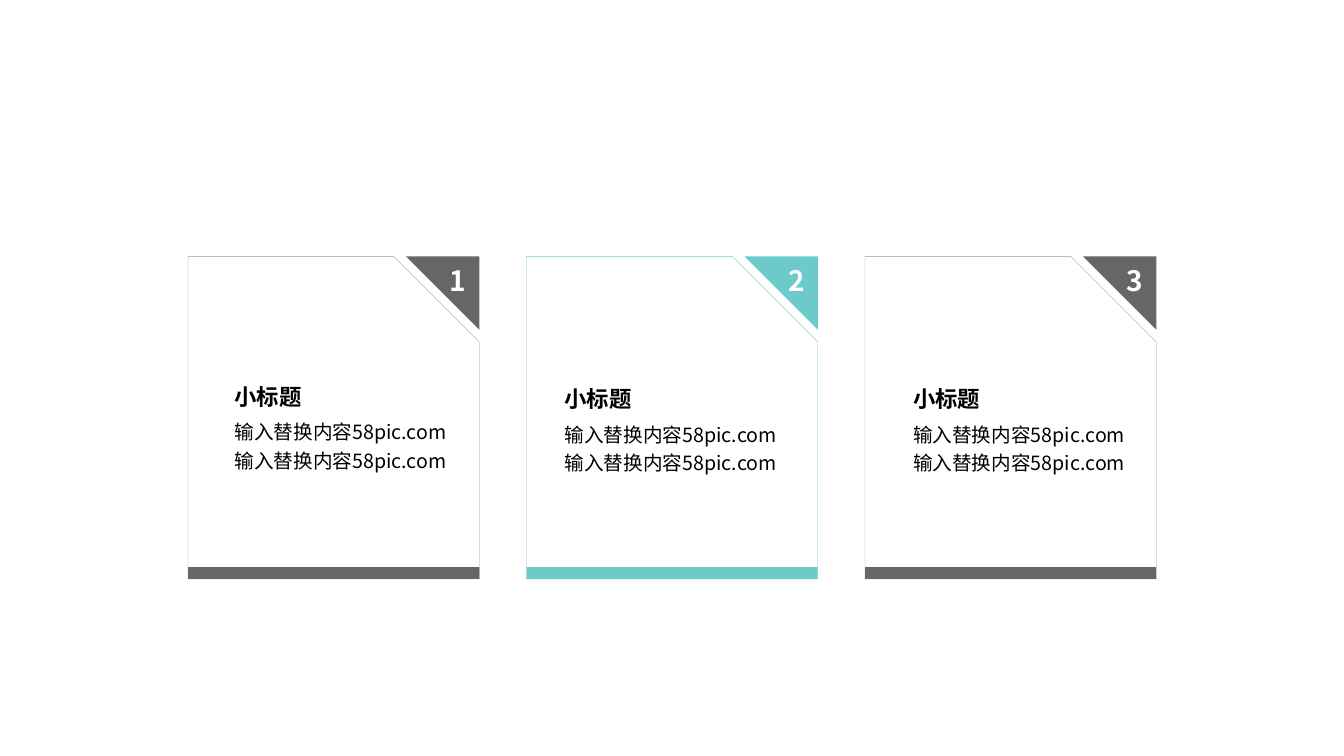
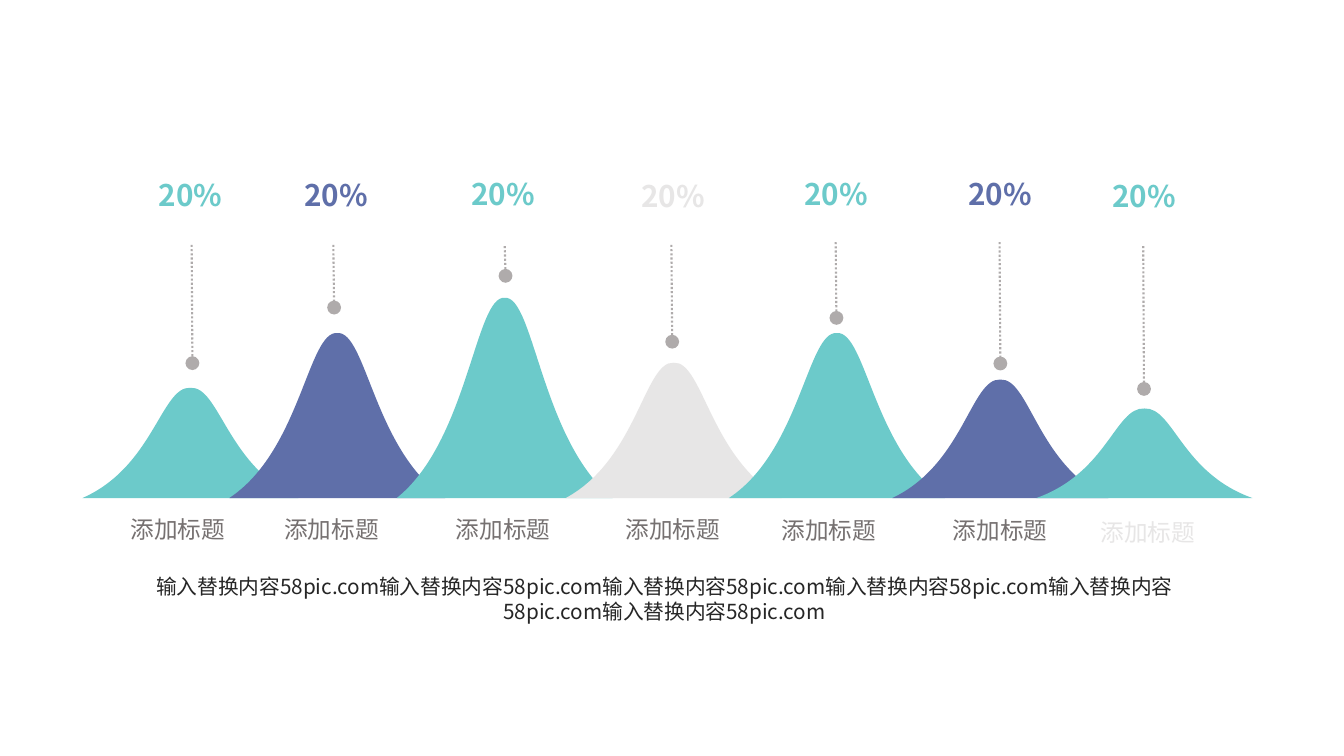
from lxml import etree
from pptx import Presentation
from pptx import util as u
from pptx.dml.color import RGBColor
from pptx.enum import dml, shapes, text
from pptx.oxml.ns import qn

# Shared look
FONT = "Noto Sans CJK SC"
TEAL = RGBColor(0x6C, 0xCA, 0xCA)
BLUE = RGBColor(0x5F, 0x6F, 0xA9)
PALE = RGBColor(0xE7, 0xE6, 0xE6)
DARK = RGBColor(0x66, 0x66, 0x66)
EDGE = RGBColor(0x99, 0x99, 0x99)
DOT = RGBColor(0xAF, 0xAB, 0xAB)
GREY = RGBColor(0x76, 0x71, 0x71)
INK = RGBColor(0x26, 0x26, 0x26)
BLACK = RGBColor(0, 0, 0)
WHITE = RGBColor(0xFF, 0xFF, 0xFF)
LEFT, MID, RIGHT = (text.PP_ALIGN.LEFT, text.PP_ALIGN.CENTER,
                    text.PP_ALIGN.RIGHT)

HEAD = dict(size=u.Pt(16), bold=True, color=BLACK)
BODY = dict(size=u.Pt(14), color=BLACK)
DIGIT = dict(size=u.Pt(20), bold=True, color=WHITE)
NOTE = dict(size=u.Pt(14.8), color=INK)
LABEL = dict(size=u.Pt(16.9))
SHARE = dict(size=u.Pt(21.2), bold=True)

# Slide 1: number, fill, edge, text left and text top (cm)
PHRASE = "输入替换内容58pic.com"
TITLE = "小标题"
CARDS = [
    ("1", DARK, EDGE, 5.66, 9.53),
    ("2", TEAL, TEAL, 13.98, 9.59),
    ("3", DARK, EDGE, 22.76, 9.59),
]
CARD_X, CARD_Y, CARD_W, CARD_H, STEP = 4.74, 6.46, 7.34, 8.13, 8.53
BAR, FOLD = 0.3, 1.85

# Slide 2: caption, share, then lengths in cm
BASE, HILL_W, SLANT = 12.55, 5.44, 0.02
HILLS = [
    # hill: colour, centre, top; caption: colour, centre, top;
    # share: centre, top; stem: x, start, end
    ((TEAL, 4.8, 9.73), (GREY, 4.48, 12.85), (4.8, 4.33), (4.83, 6.17, 9.15)),
    ((BLUE, 8.5, 8.33), (GREY, 8.36, 12.85), (8.47, 4.33), (8.4, 6.17, 7.75)),
    ((TEAL, 12.72, 7.43), (GREY, 12.68, 12.85), (12.68, 4.31),
     (12.72, 6.2, 6.95)),
    ((PALE, 16.98, 9.09), (GREY, 16.96, 12.85), (16.97, 4.36),
     (16.92, 6.17, 8.61)),
    ((TEAL, 21.09, 8.33), (GREY, 20.89, 12.88), (21.07, 4.31),
     (21.06, 6.1, 8.01)),
    ((BLUE, 25.21, 9.52), (GREY, 25.21, 12.88), (25.21, 4.31),
     (25.19, 6.1, 9.16)),
    ((TEAL, 28.84, 10.26), (PALE, 28.93, 12.93), (28.83, 4.36),
     (28.81, 6.2, 9.8)),
]
CAPTION, PERCENT = "添加标题", "20%"
# Curve points from foot to peak, as shares of half width and height
CURVE = [(1, 0), (0.34, 0.28), (0.27, 1), (0, 0.985)]


def cms(*vals):
    return [u.Cm(v) for v in vals]


def write(frame, words, look, align=LEFT, space=None):
    """Put one styled paragraph into a text frame."""
    para = frame.paragraphs[0]
    para.alignment = align
    if space:
        para.line_spacing = space
    run = para.add_run()
    run.text = words
    font = run.font
    font.name = FONT
    for key, val in look.items():
        if key == "color":
            font.color.rgb = val
        else:
            setattr(font, key, val)
    east = etree.SubElement(run._r.get_or_add_rPr(), qn("a:ea"))
    east.set("typeface", FONT)


def label(box, spot, words, look, align=LEFT, space=None, grow=True):
    frame = box.add_textbox(*cms(*spot)).text_frame
    frame.word_wrap = True
    if grow:
        frame.auto_size = text.MSO_AUTO_SIZE.SHAPE_TO_FIT_TEXT
    write(frame, words, look, align, space)


def paint(shape, fill, edge=None):
    shape.shadow.inherit = False
    shape.fill.solid()
    shape.fill.fore_color.rgb = fill
    if edge is None:
        shape.line.fill.background()
    else:
        shape.line.color.rgb = edge
        shape.line.width = u.Pt(0.25)
    return shape


def outline(box, points, fill):
    dots = [tuple(cms(*p)) for p in points]
    build = box.build_freeform(*dots[0])
    build.add_line_segments(dots[1:], close=True)
    return paint(build.convert_to_shape(), fill)


def card(box, x, num, fill, edge):
    frame = box.add_shape(shapes.MSO_SHAPE.SNIP_1_RECTANGLE,
                          *cms(x, CARD_Y, CARD_W, CARD_H))
    frame.adjustments[0] = 0.294
    paint(frame, WHITE, edge)
    bar = box.add_shape(shapes.MSO_SHAPE.RECTANGLE,
                        *cms(x, CARD_Y + CARD_H - BAR, CARD_W, BAR))
    paint(bar, fill)
    end = x + CARD_W
    fold = outline(box, [(end, CARD_Y), (end - FOLD, CARD_Y),
                         (end, CARD_Y + FOLD)], fill)
    body = fold.text_frame
    body.vertical_anchor = text.MSO_ANCHOR.TOP
    body.margin_left = body.margin_right = u.Cm(0.33)
    body.margin_top = body.margin_bottom = u.Cm(0.17)
    write(body, num, DIGIT, RIGHT)


def bend(shape):
    """Turn each three straight segments into one cubic curve."""
    lines = list(shape._element.iter(qn("a:lnTo")))
    for i in range(0, len(lines) - 2, 3):
        curve = etree.Element(qn("a:cubicBezTo"))
        lines[i].addprevious(curve)
        for line in lines[i:i + 3]:
            curve.append(line[0])
            line.getparent().remove(line)


def hill(box, fill, mid, top):
    half, tall = HILL_W / 2, BASE - top
    right = [(mid + half * a, BASE - tall * b) for a, b in CURVE]
    left = [(2 * mid - x, y) for x, y in right[-2::-1]]
    bend(outline(box, right + left, fill))


def stem(box, x, start, end):
    link = box.add_connector(shapes.MSO_CONNECTOR.STRAIGHT,
                             *cms(x, start, x + SLANT, end))
    link.line.color.rgb = DOT
    link.line.width = u.Pt(1.5)
    link.line.dash_style = dml.MSO_LINE.ROUND_DOT
    tail = etree.SubElement(link.line._get_or_add_ln(), qn("a:tailEnd"))
    for key, val in dict(type="oval", w="lg", len="lg").items():
        tail.set(key, val)
    etree.SubElement(link._element.spPr, qn("a:effectLst"))


def show_cards(slide):
    for i, (num, fill, edge, x, y) in enumerate(CARDS):
        group = slide.shapes.add_group_shape()
        card(group.shapes, CARD_X + i * STEP, num, fill, edge)
        label(slide.shapes, (x, y + 0.82, 5.92, 1.63), PHRASE * 2, BODY,
              space=1.2)
        label(slide.shapes, (x, y, 4.24, 0.94), TITLE, HEAD)


def show_hills(slide):
    for peak, (tint, mid, top), (cen, high), line in HILLS:
        box = slide.shapes.add_group_shape().shapes
        hill(box, *peak)
        label(box, (mid - 2.1, top, 4.2, 0.99), CAPTION,
              dict(LABEL, color=tint), MID)
        label(box, (cen - 1.5, high, 3, 1.17), PERCENT,
              dict(SHARE, color=peak[0]), MID)
        stem(box, *line)
    label(slide.shapes, (3.37, 14.33, 26.75, 3.3), PHRASE * 6, NOTE, MID,
          grow=False)


def main():
    deck = Presentation()
    deck.slide_width, deck.slide_height = cms(33.87, 19.05)
    for show in (show_cards, show_hills):
        show(deck.slides.add_slide(deck.slide_layouts[6]))
    deck.save("out.pptx")


if __name__ == "__main__":
    main()
